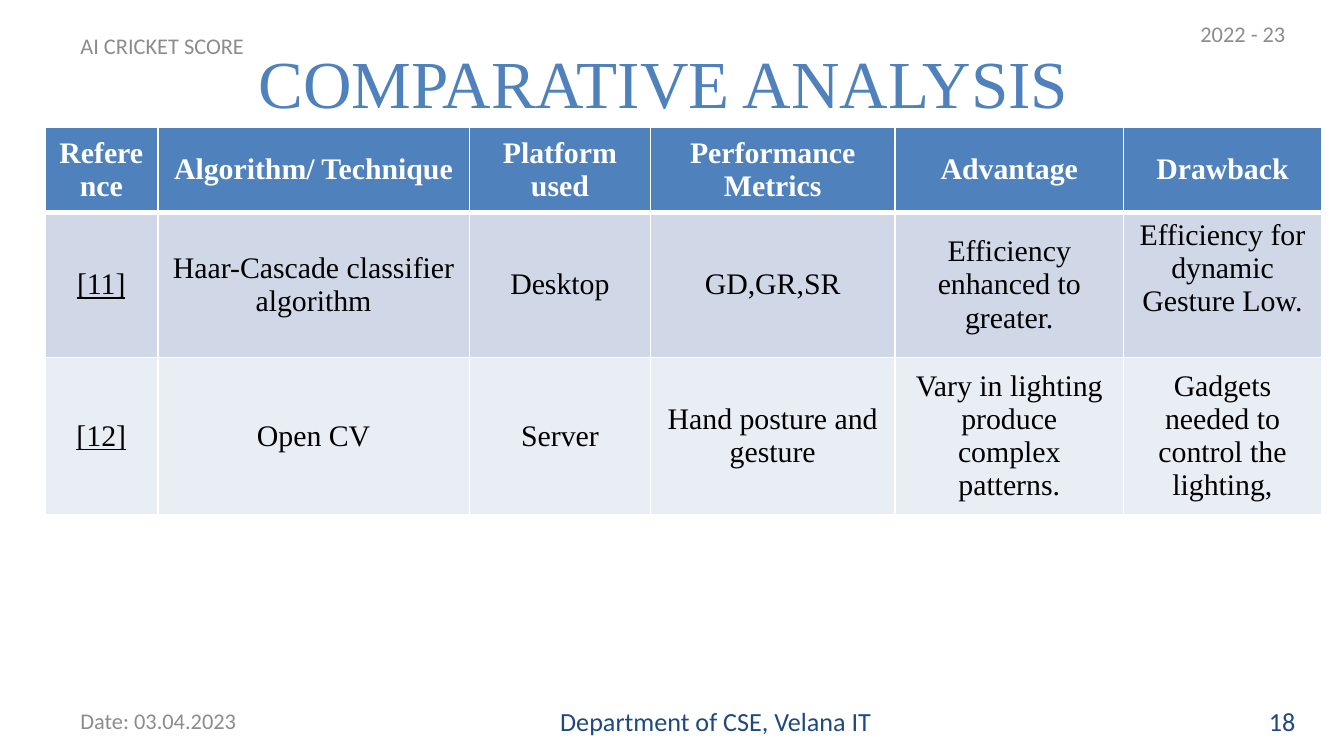
import pptx
import pptx.util
import pptx.dml.color
import pptx.enum.text
import pptx.oxml
import pptx.oxml.ns

Pt = pptx.util.Pt
Align = pptx.enum.text.PP_ALIGN
Anchor = pptx.enum.text.MSO_ANCHOR

WHITE, BLACK, BLUE, NAVY, GREY = "FFFFFF", "000000", "4F81BD", "1F497D", "8C8C8C"
SERIF, SANS = "Times New Roman", "Calibri"
COLS = [60.5, 167, 97, 131, 122.5, 106]
ROWS = [42.5, 78, 78]
FILLS = [BLUE, "D0D8E8", "E9EDF4"]
DATA = [
    ["Reference", "Algorithm/ Technique", "Platform used",
     "Performance Metrics", "Advantage", "Drawback"],
    ["[11]", "Haar-Cascade classifier algorithm", "Desktop", "GD,GR,SR",
     "Efficiency enhanced to greater.", "Efficiency for dynamic Gesture Low."],
    ["[12]", "Open CV", "Server", "Hand posture and\ngesture",
     "Vary in lighting produce complex patterns.",
     "Gadgets needed to control the lighting,"],
]


def color(code):
    """Turn a hex string into a colour."""
    return pptx.dml.color.RGBColor.from_string(code)


def write(frame, text, size=16, font=SERIF, ink=BLACK, align=Align.CENTER,
          bold=False, under=False):
    """Fill a text frame, one paragraph a line, in one format."""
    frame.word_wrap = True
    frame.text = text
    for para in frame.paragraphs:
        para.alignment = align
        for run in para.runs:
            run.font.size = Pt(size)
            run.font.name = font
            run.font.bold = bold
            run.font.underline = under
            run.font.color.rgb = color(ink)


def label(slide, box, text, **form):
    """Add a text box, centred in height, in the given box."""
    frame = slide.shapes.add_textbox(*map(Pt, box)).text_frame
    frame.vertical_anchor = Anchor.MIDDLE
    write(frame, text, font=SANS, **form)


def edge(cell, base):
    """Draw white borders round a cell, with the given width below."""
    props = cell._tc.get_or_add_tcPr()
    for spot, (side, width) in enumerate(
            [("lnL", 1), ("lnR", 1), ("lnT", 1), ("lnB", base)]):
        props.insert(spot, pptx.oxml.parse_xml(
            f'<a:{side} {pptx.oxml.ns.nsdecls("a")} w="{int(Pt(width))}">'
            f'<a:solidFill><a:srgbClr val="{WHITE}"/></a:solidFill></a:{side}>'))


def header(slide, box):
    """Place the title and the two labels at the top."""
    left, top, width, height = box
    title = slide.shapes.title
    title.left, title.top, title.width, title.height = map(Pt, box)
    frame = title.text_frame
    frame.auto_size = pptx.enum.text.MSO_AUTO_SIZE.NONE
    frame.vertical_anchor = Anchor.MIDDLE
    write(frame, "COMPARATIVE ANALYSIS ", size=36, ink=BLUE)
    plain = dict(size=12, ink=GREY, align=Align.LEFT)
    label(slide, (left, top, 222, 16), "AI CRICKET SCORE", **plain)
    label(slide, (left + width - 48, top - 12, 78, 27), "2022 - 23", **plain)


def grid(slide, box):
    """Place the comparison table."""
    shape = slide.shapes.add_table(len(ROWS), len(COLS), *map(Pt, box))
    table = shape.table
    for col, width in zip(table.columns, COLS):
        col.width = Pt(width)
    for r, (line, height) in enumerate(zip(DATA, ROWS)):
        table.rows[r].height = Pt(height)
        head = r == 0
        for c, text in enumerate(line):
            cell = table.cell(r, c)
            cell.fill.solid()
            cell.fill.fore_color.rgb = color(FILLS[r])
            cell.vertical_anchor = Anchor.MIDDLE
            write(cell.text_frame, text, ink=WHITE if head else BLACK,
                  bold=head, under=c == 0 and not head)
            edge(cell, 3 if head else 1)
    table.cell(1, len(COLS) - 1).vertical_anchor = Anchor.TOP


def footer(slide, box):
    """Place the date, department and page number along the bottom."""
    left, top, width, height = box
    label(slide, (left, top, 168, height), "Date: 03.04.2023",
          size=12, ink=GREY, align=Align.LEFT)
    for shift, span, text in [(210, 228, "Department of CSE, Velana IT"),
                              (width - 53, 53, "18")]:
        label(slide, (left + shift, top, span, height), text,
              size=14, ink=NAVY, align=Align.RIGHT)


def main():
    """Build and save the slide."""
    deck = pptx.Presentation()
    deck.slide_width, deck.slide_height = Pt(720), Pt(405)
    slide = deck.slides.add_slide(deck.slide_layouts[5])
    header(slide, (36, 16.5, 648, 54))
    grid(slide, (24, 68, sum(COLS), sum(ROWS)))
    footer(slide, (36, 375.5, 665, 21.5))
    deck.save("out.pptx")


main()
